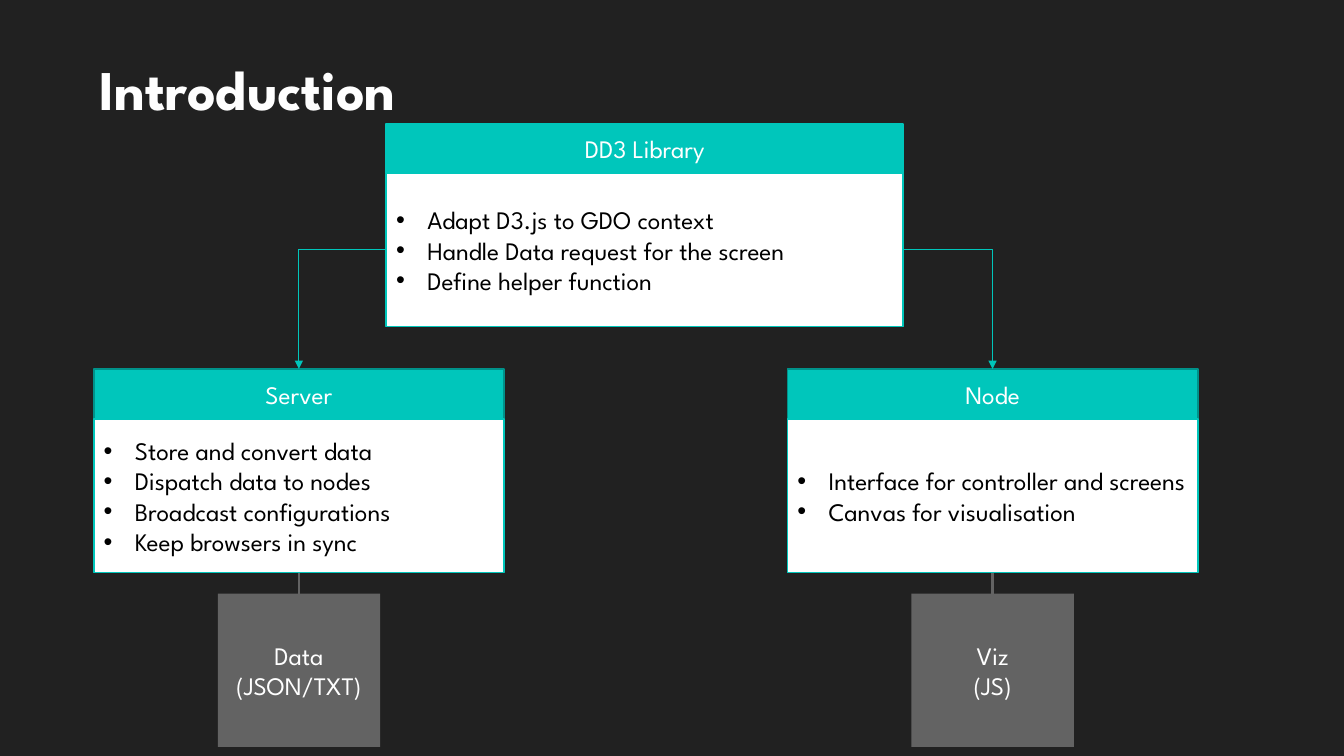
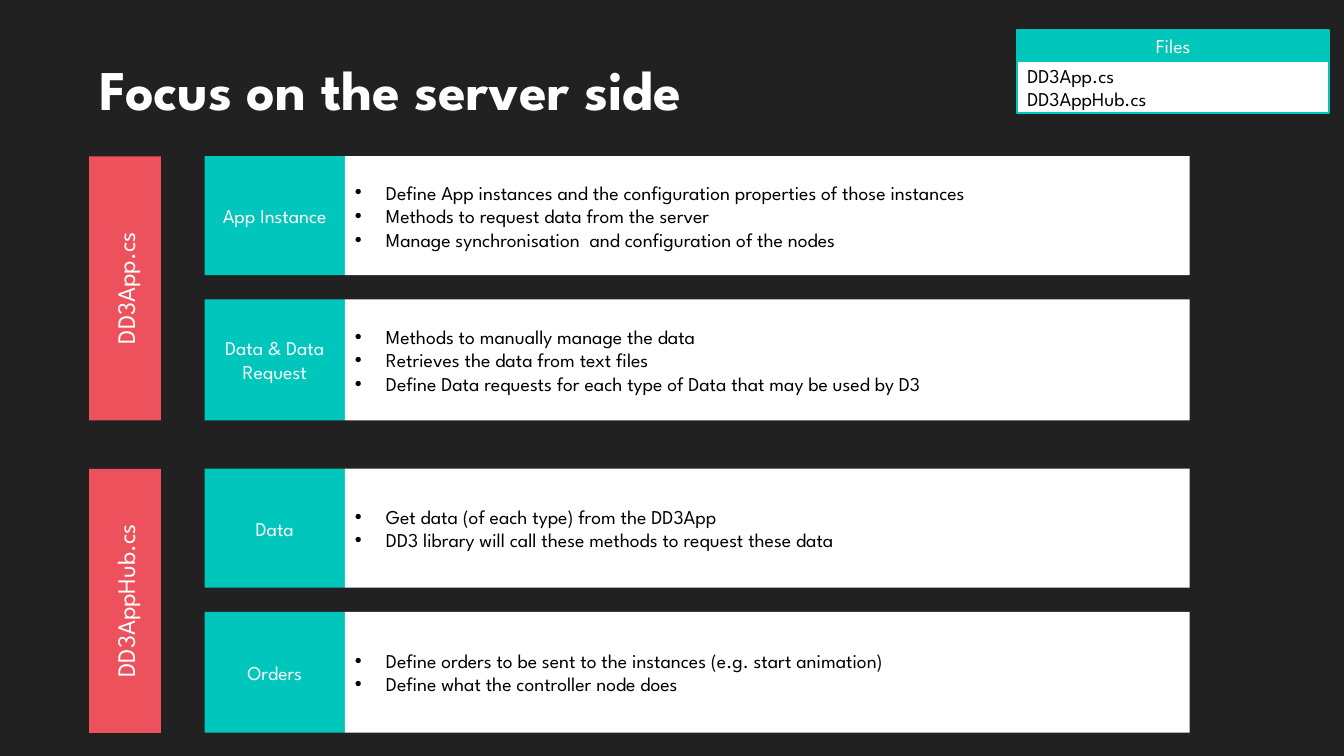
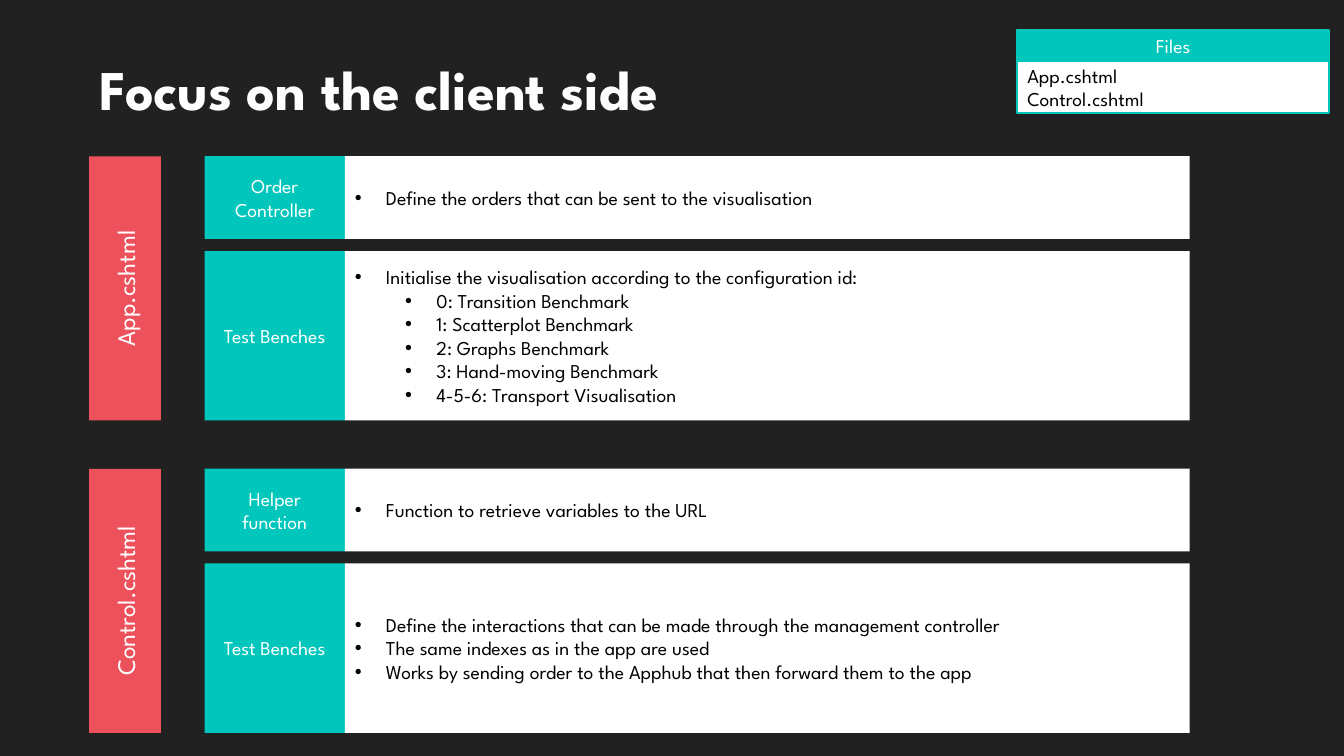
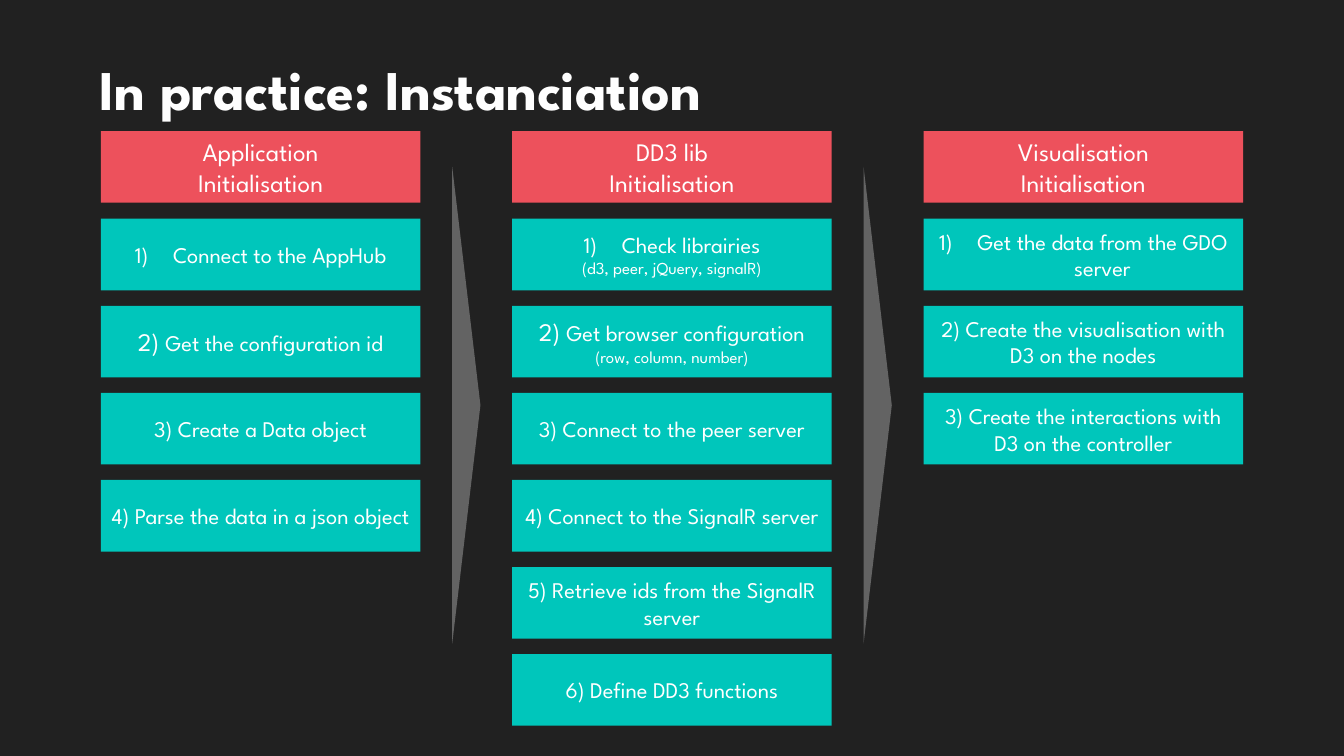
"""Build four dark slides on the parts of the DD3 library."""
from lxml.etree import SubElement
from pptx import Presentation
from pptx.dml.color import RGBColor as Rgb
from pptx.enum.shapes import MSO_CONNECTOR as Link, MSO_SHAPE as Form
from pptx.enum.text import MSO_ANCHOR as Anchor, PP_ALIGN as Align
from pptx.oxml.ns import qn
from pptx.util import Inches, Pt

FONT = "League Spartan"
HUES = {
    "back": "212121", "title": "FEFEFE", "white": "FFFFFF", "black": "000000",
    "teal": "00C6BB", "deep": "00928A", "red": "ED515C", "grey": "636363",
}
DOT = ("buChar", {"char": "•"})
MARKS = {
    "dot": (0, 0.31, 0.31, DOT),
    "sub": (1, 0.81, 0.31, DOT),
    "num": (0, 0.38, 0.38, ("buAutoNum", {"type": "arabicParenR"})),
}
BLOCKS = (1.55, 4.65)
SPAN = 2.62

SERVER = [
    ("DD3App.cs", [
        (1.18, "App Instance", [
            "Define App instances and the configuration properties of those instances",
            "Methods to request data from the server",
            "Manage synchronisation  and configuration of the nodes"]),
        (1.2, "Data & Data Request", [
            "Methods to manually manage the data",
            "Retrieves the data from text files",
            "Define Data requests for each type of Data that may be used by D3"])]),
    ("DD3AppHub.cs", [
        (1.18, "Data", [
            "Get data (of each type) from the DD3App",
            "DD3 library will call these methods to request these data"]),
        (1.2, "Orders", [
            "Define orders to be sent to the instances (e.g. start animation)",
            "Define what the controller node does"])]),
]
CLIENT = [
    ("App.cshtml", [
        (0.82, "Order Controller", [
            "Define the orders that can be sent to the visualisation"]),
        (1.68, "Test Benches", [
            "Initialise the visualisation according to the configuration id:",
            ("0: Transition Benchmark", "sub"),
            ("1: Scatterplot Benchmark", "sub"),
            ("2: Graphs Benchmark", "sub"),
            ("3: Hand-moving Benchmark", "sub"),
            ("4-5-6: Transport Visualisation", "sub")])]),
    ("Control.cshtml", [
        (0.82, "Helper function", [
            "Function to retrieve variables to the URL"]),
        (1.68, "Test Benches", [
            "Define the interactions that can be made through the management controller",
            "The same indexes as in the app are used",
            "Works by sending order to the Apphub that then forward them to the app"])]),
]
STAGES = [
    ("Application", [
        [("Connect to the AppHub", "num")],
        [[("2) ", 18), ("Get the configuration id", 16)]],
        ["3) Create a Data object"],
        ["4) Parse the data in a json object"]]),
    ("DD3 lib", [
        [("Check librairies", "num"), [("(d3, peer, jQuery, signalR)", 12)]],
        [[("2) ", 18), ("Get browser configuration", 16)],
         [("(row, column, number)", 12)]],
        ["3) Connect to the peer server"],
        ["4) Connect to the SignalR server"],
        ["5) Retrieve ids from the SignalR server"],
        ["6) Define DD3 functions"]]),
    ("Visualisation", [
        [("Get the data from the GDO server", "num")],
        ["2) Create the visualisation with D3 on the nodes"],
        ["3) Create the interactions with D3 on the controller"]]),
]


def hue(name):
    return Rgb.from_string(HUES[name])


def put(item, vals):
    for key, val in vals.items():
        setattr(item, key, val)


def mark(para, kind):
    level, left, hang, (tag, vals) = MARKS[kind]
    para.level = level
    props = para._p.get_or_add_pPr()
    props.set("marL", str(Inches(left)))
    props.set("indent", str(-Inches(hang)))
    if tag == "buChar":
        SubElement(props, qn("a:buFont"), typeface="Arial")
    SubElement(props, qn("a:" + tag), **vals)


def write(shape, lines, size, ink, align=Align.CENTER, kind=None,
          anchor=Anchor.MIDDLE, bold=False):
    frame = shape.text_frame
    put(frame, {"word_wrap": True, "vertical_anchor": anchor})
    for num, line in enumerate(lines):
        para = frame.add_paragraph() if num else frame.paragraphs[0]
        para.alignment = align
        runs, sort = line if isinstance(line, tuple) else (line, kind)
        if sort:
            mark(para, sort)
        for text, pts in [(runs, size)] if isinstance(runs, str) else runs:
            run = para.add_run()
            run.text = text
            put(run.font, {"name": FONT, "size": Pt(pts), "bold": bold})
            run.font.color.rgb = hue(ink)


def box(slide, area, fill, edge=None, form=Form.RECTANGLE, turn=0):
    shape = slide.shapes.add_shape(form, *map(Inches, area))
    shape.shadow.inherit = False
    shape.rotation = turn
    shape.fill.solid()
    shape.fill.fore_color.rgb = hue(fill)
    if edge:
        shape.line.color.rgb = hue(edge)
        shape.line.width = Pt(1.25)
    else:
        shape.line.fill.background()
    return shape


def label(slide, area, fill, lines, size=18, edge=None, turn=0):
    shape = box(slide, area, fill, edge, turn=turn)
    write(shape, lines, size, "white")
    return shape


def panel(slide, area, lines, size=18, edge=None, kind="dot"):
    shape = box(slide, area, "white", edge)
    write(shape, lines, size, "black", Align.LEFT, kind)
    return shape


def card(slide, x, y, w, tops, head, lines, edge="teal", size=18, kind="dot"):
    high, deep = tops
    top = label(slide, (x, y, w, high), "teal", [head], size, edge)
    body = panel(slide, (x, y + high, w, deep), lines, size, "teal", kind)
    return top, body


def join(slide, start, end, color, width, form=Link.STRAIGHT):
    line = slide.shapes.add_connector(form, 0, 0, 0, 0)
    line.begin_connect(*start)
    line.end_connect(*end)
    line.line.color.rgb = hue(color)
    line.line.width = Pt(width)
    props = line._element.spPr
    if form == Link.ELBOW:
        props.find(qn("a:prstGeom")).set("prst", "bentConnector2")
        SubElement(props.find(qn("a:ln")), qn("a:tailEnd"), type="triangle")
    SubElement(props, qn("a:effectLst"))


def page(deck, title):
    slide = deck.slides.add_slide(deck.slide_layouts[6])
    area = map(Inches, (0.89, 0.49, 11.56, 1.06))
    write(slide.shapes.add_textbox(*area), [title], 40, "title",
          Align.LEFT, anchor=Anchor.TOP, bold=True)
    return slide


def intro(deck):
    slide = page(deck, "Introduction")
    hub = card(slide, 3.83, 1.23, 5.13, (0.49, 1.52), "DD3 Library", [
        "Adapt D3.js to GDO context",
        "Handle Data request for the screen",
        "Define helper function"])[1]
    sides = [
        (0.93, 1, "Server", ["Store and convert data", "Dispatch data to nodes",
                             "Broadcast configurations", "Keep browsers in sync"],
         ["Data", "(JSON/TXT)"]),
        (7.81, 3, "Node", ["Interface for controller and screens",
                           "Canvas for visualisation"],
         ["Viz", "(JS)"]),
    ]
    for x, side, head, lines, foot in sides:
        top, body = card(slide, x, 3.66, 4.07, (0.5, 1.52), head, lines, "deep")
        base = label(slide, (x + 1.23, 5.89, 1.61, 1.52), "grey", foot)
        join(slide, (hub, side), (top, 0), "teal", 0.75, Link.ELBOW)
        join(slide, (body, 2), (base, 0), "grey", 2)


def focus(deck, title, groups):
    slide = page(deck, title)
    card(slide, 10.09, 0.3, 3.09, (0.31, 0.51), "Files",
         [name for name, rows in groups], size=14, kind=None)
    for y, (name, rows) in zip(BLOCKS, groups):
        wide = 0.71
        area = (1.24 - SPAN / 2, y + (SPAN - wide) / 2, SPAN, wide)
        label(slide, area, "red", [name], turn=270)
        gap = SPAN - sum(row[0] for row in rows)
        for high, head, lines in rows:
            label(slide, (2.03, y, 1.39, high), "teal", [head], 14)
            panel(slide, (3.42, y, 8.38, high), lines, 14)
            y += high + gap


def steps(deck):
    slide = page(deck, "In practice: Instanciation")
    pitch = 4.08
    for col, (name, tasks) in enumerate(STAGES):
        x = 1 + pitch * col
        label(slide, (x, 1.3, 3.17, 0.71), "red", [name, "Initialisation"])
        for row, lines in enumerate(tasks):
            y = 2.17 + 4.32 * row / 5
            label(slide, (x, y, 3.17, 0.71), "teal", lines, 16)
        if col:
            area = (2.26 + pitch * (col - 1), 3.88, 4.73, 0.28)
            box(slide, area, "grey", form=Form.ISOSCELES_TRIANGLE, turn=90)


def main():
    deck = Presentation()
    put(deck, {"slide_width": Inches(13.33), "slide_height": Inches(7.5)})
    back = deck.slide_master.background.fill
    back.solid()
    back.fore_color.rgb = hue("back")
    intro(deck)
    focus(deck, "Focus on the server side", SERVER)
    focus(deck, "Focus on the client side", CLIENT)
    steps(deck)
    deck.save("out.pptx")


if __name__ == "__main__":
    main()
